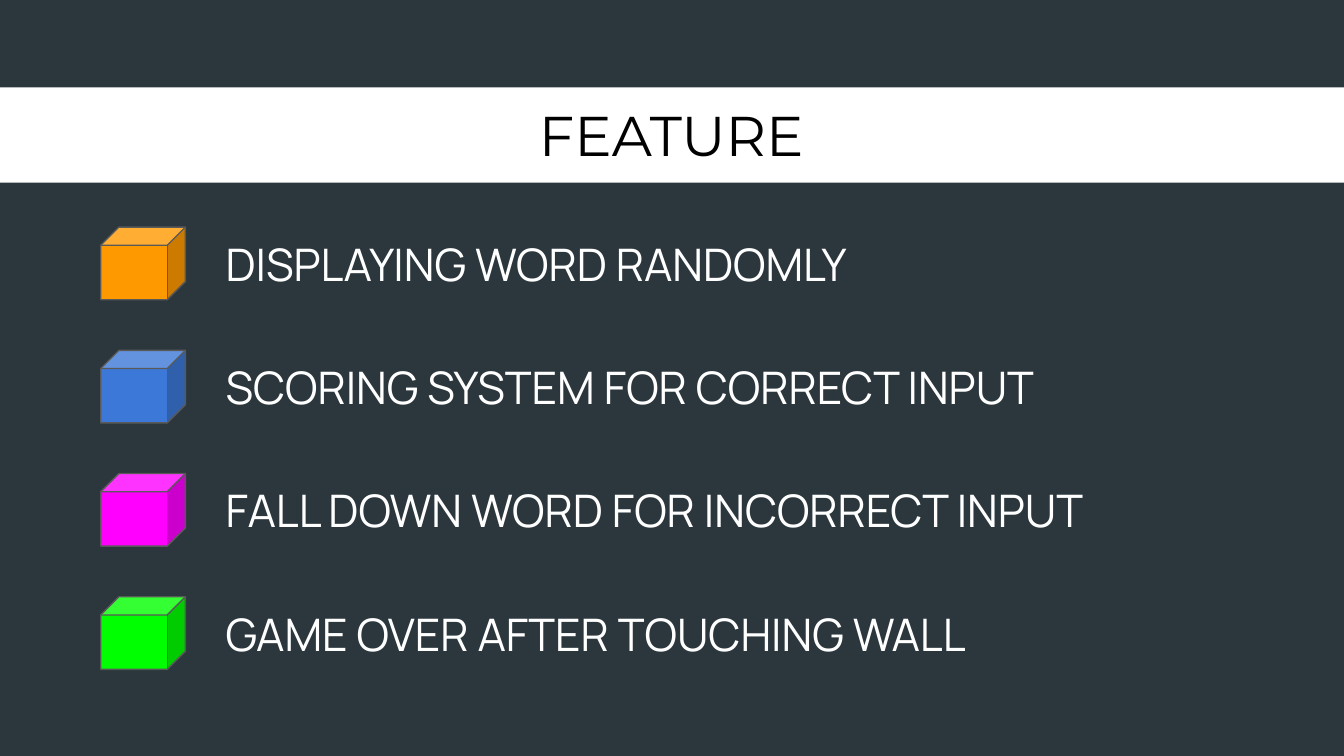
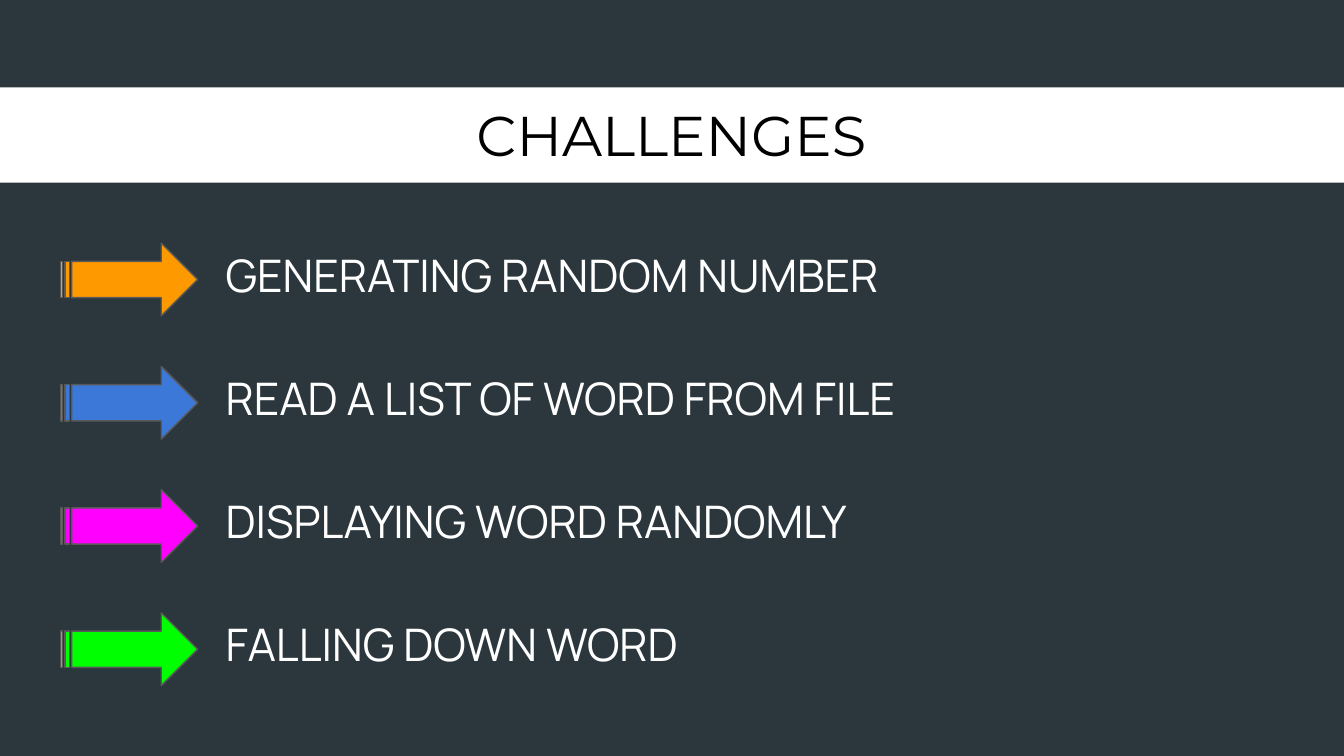
import pptx
import pptx.util
import pptx.dml.color
import pptx.enum.shapes
import pptx.enum.text

Inches = pptx.util.Inches
RGB = pptx.dml.color.RGBColor.from_string
MSO = pptx.enum.shapes.MSO_SHAPE
ALIGN = pptx.enum.text.PP_ALIGN

COLORS = {
    "bg": "2B373D",
    "band": "FFFFFF",
    "title": "000000",
    "text": "FFFFFF",
    "outline": "595959",
    "orange": "FF9900",
    "blue": "3C78D8",
    "magenta": "FF00FF",
    "green": "00FF00",
}
ICON_COLORS = ["orange", "blue", "magenta", "green"]
ROW_STEP = 0.917
ICON_H = 0.54
TEXT_X, TEXT_W, TEXT_H = 1.58, 8.24, 0.61

SLIDES = [
    {
        "title": "FEATURE",
        "icon": MSO.CUBE, "icon_x": 0.75, "icon_w": 0.63,
        "icon_y": 1.69, "text_y": 1.66,
        "items": [
            "DISPLAYING WORD RANDOMLY",
            "SCORING SYSTEM FOR CORRECT INPUT",
            "FALL DOWN WORD FOR INCORRECT INPUT",
            "GAME OVER AFTER TOUCHING WALL",
        ],
    },
    {
        "title": "CHALLENGES",
        "icon": MSO.STRIPED_RIGHT_ARROW, "icon_x": 0.45, "icon_w": 1.02,
        "icon_y": 1.81, "text_y": 1.74,
        "items": [
            "GENERATING RANDOM NUMBER",
            "READ A LIST OF WORD FROM FILE",
            "DISPLAYING WORD RANDOMLY",
            "FALLING DOWN WORD",
        ],
    },
]


def write(sp, text, font="Manrope", size=24, color="text", align=ALIGN.LEFT):
    tf = sp.text_frame
    tf.word_wrap = True
    tf.auto_size = pptx.enum.text.MSO_AUTO_SIZE.SHAPE_TO_FIT_TEXT
    tf.vertical_anchor = pptx.enum.text.MSO_ANCHOR.TOP
    tf.margin_left = tf.margin_right = Inches(0.1)
    tf.margin_top = tf.margin_bottom = Inches(0.1)
    p = tf.paragraphs[0]
    p.alignment = align
    r = p.add_run()
    r.text = text
    r.font.name = font
    r.font.size = pptx.util.Pt(size)
    r.font.color.rgb = RGB(COLORS[color])


def add_filled(slide, kind, box, fill):
    sp = slide.shapes.add_shape(kind, *map(Inches, box))
    sp.shadow.inherit = False
    sp.fill.solid()
    sp.fill.fore_color.rgb = RGB(COLORS[fill])
    return sp


prs = pptx.Presentation()
prs.slide_width = Inches(10)
prs.slide_height = Inches(5.625)

for page in SLIDES:
    slide = prs.slides.add_slide(prs.slide_layouts[6])
    slide.background.fill.solid()
    slide.background.fill.fore_color.rgb = RGB(COLORS["bg"])

    for row, (item, color) in enumerate(zip(page["items"], ICON_COLORS)):
        dy = row * ROW_STEP
        box = (page["icon_x"], page["icon_y"] + dy, page["icon_w"], ICON_H)
        icon = add_filled(slide, page["icon"], box, color)
        icon.line.color.rgb = RGB(COLORS["outline"])
        icon.line.width = pptx.util.Pt(0.75)

        box = (TEXT_X, page["text_y"] + dy, TEXT_W, TEXT_H)
        write(slide.shapes.add_textbox(*map(Inches, box)), item)

    band = add_filled(slide, MSO.RECTANGLE, (-0.08, 0.65, 10.15, 0.71), "band")
    band.line.fill.background()
    write(band, page["title"], font="Montserrat", size=30, color="title",
          align=ALIGN.CENTER)

prs.save("out.pptx")
